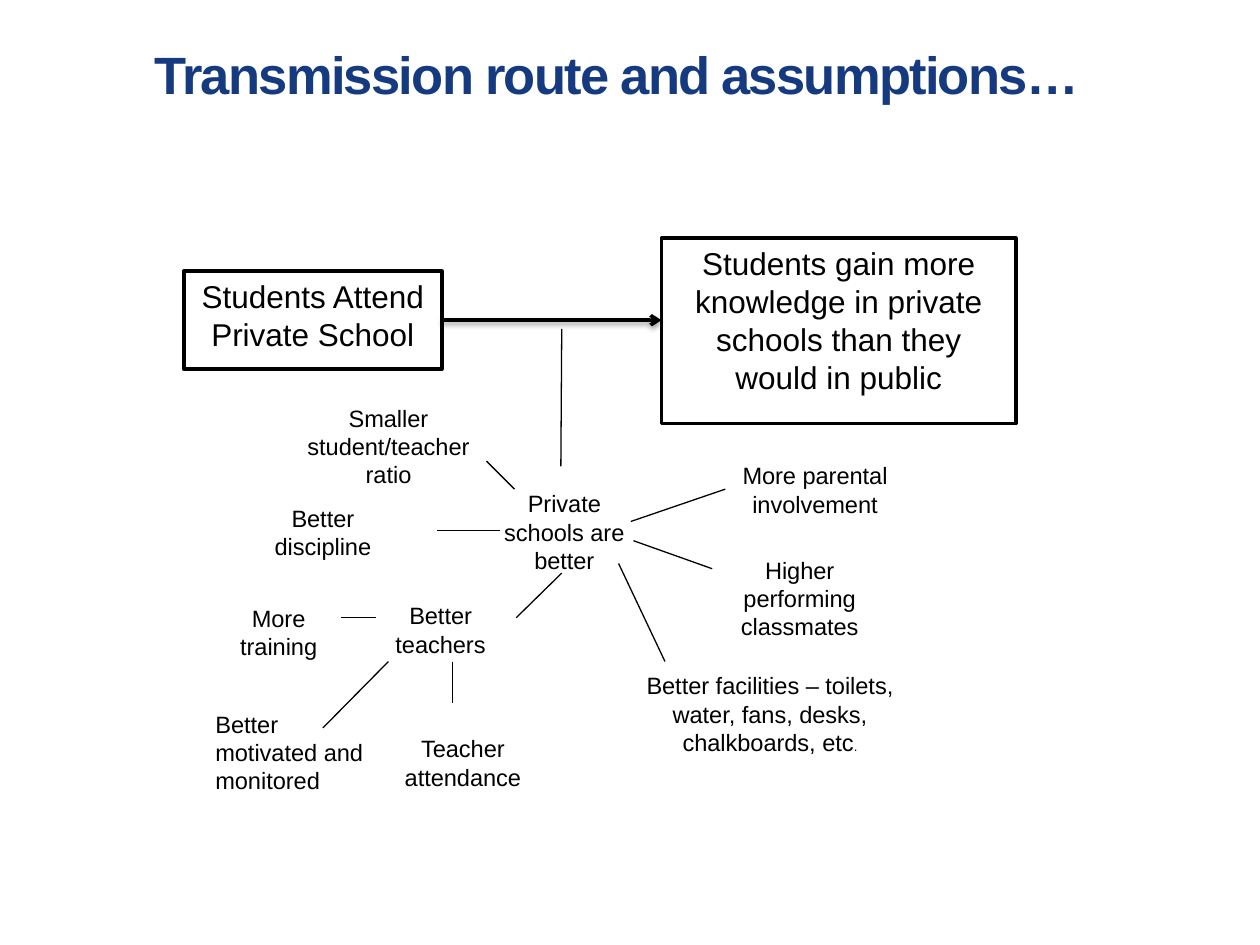
"""Build the slide on transmission routes and assumptions."""
from dataclasses import dataclass

from lxml.etree import SubElement
from pptx import Presentation
from pptx.dml.color import RGBColor
from pptx.enum.shapes import MSO_CONNECTOR, MSO_SHAPE
from pptx.enum.text import MSO_ANCHOR, MSO_AUTO_SIZE, PP_ALIGN
from pptx.oxml.ns import qn
from pptx.util import Pt


@dataclass(frozen=True)
class Theme:
    font: str = "Arial"
    title: RGBColor = RGBColor(0x15, 0x3A, 0x80)
    ink: RGBColor = RGBColor(0, 0, 0)
    paper: RGBColor = RGBColor(255, 255, 255)
    title_size: float = 30
    box_size: float = 18
    label_size: float = 13.5
    small_size: float = 7.5
    thick: float = 2
    thin: float = 0.75


T = Theme()
TITLE = "Transmission route and assumptions…"
CAUSE = ("Students Attend Private School", 105, 155, 147.5, 56)
EFFECT = ("Students gain more knowledge in private schools than they would in public",
          378, 136, 202.5, 106)
LINE_H, PAD_H = 15.75, 8.75
CENTER, LEFT = PP_ALIGN.CENTER, PP_ALIGN.LEFT
LABELS = [
    (["Private schools are better"], 278, 276, 89, 3, CENTER),
    (["Smaller student/teacher ratio"], 155, 227, 134, 3, CENTER),
    (["Better discipline"], 134, 284.5, 101, 2, CENTER),
    (["Better teachers"], 215, 340, 73.5, 2, CENTER),
    (["More training"], 116, 341.5, 86.5, 2, CENTER),
    (["Better motivated and monitored"], 116, 402, 106, 3, LEFT),
    (["Teacher attendance"], 216.5, 416, 96, 2, CENTER),
    (["More parental involvement"], 402, 260, 127.5, 2, CENTER),
    (["Higher performing classmates"], 405.5, 314, 103, 3, CENTER),
    (["Better facilities – toilets, water, fans, desks, chalkboards, etc", "."],
     361.5, 380, 157, 3, CENTER),
]
LINKS = [
    (321, 188, 320.5, 266.5),
    (278, 263.5, 294, 279.5),
    (250, 303, 286, 303),
    (321, 327.5, 295, 353),
    (414.5, 279.5, 360.5, 298),
    (362, 309, 407, 325),
    (353.5, 322, 380, 378),
    (215, 353, 195, 353),
    (258.5, 378, 258.5, 402),
    (222, 378, 184.5, 416),
]


def add_run(p, text, size, color=T.ink, bold=False):
    r = p.add_run()
    r.text = text
    r.font.name, r.font.size, r.font.bold = T.font, Pt(size), bold
    r.font.color.rgb = color
    return r


def add_box(s, text, x, y, w, h):
    sp = s.shapes.add_shape(MSO_SHAPE.RECTANGLE, Pt(x), Pt(y), Pt(w), Pt(h))
    sp.shadow.inherit = False
    sp.fill.solid()
    sp.fill.fore_color.rgb = T.paper
    sp.line.color.rgb = T.ink
    sp.line.width = Pt(T.thick)
    tf = sp.text_frame
    tf.word_wrap, tf.vertical_anchor = True, MSO_ANCHOR.TOP
    p = tf.paragraphs[0]
    p.alignment = CENTER
    add_run(p, text, T.box_size)


def add_label(s, texts, x, y, w, lines, align):
    sp = s.shapes.add_textbox(Pt(x), Pt(y), Pt(w), Pt(lines * LINE_H + PAD_H))
    tf = sp.text_frame
    tf.word_wrap, tf.auto_size = True, MSO_AUTO_SIZE.SHAPE_TO_FIT_TEXT
    p = tf.paragraphs[0]
    p.alignment = align
    for text, size in zip(texts, (T.label_size, T.small_size)):
        add_run(p, text, size)


def add_line(s, ends, width):
    cx = s.shapes.add_connector(MSO_CONNECTOR.STRAIGHT, *map(Pt, ends))
    cx.line.color.rgb = T.ink
    cx.line.width = Pt(width)
    return cx, SubElement(cx._element.spPr, qn("a:effectLst"))


def add_arrow(s, ends):
    cx, effects = add_line(s, ends, T.thick)
    SubElement(cx.line._get_or_add_ln(), qn("a:tailEnd"), type="arrow")
    shadow = SubElement(effects, qn("a:outerShdw"), blurRad=str(Pt(3.1)),
                        dist=str(Pt(1.6)), dir="5400000", rotWithShape="0")
    color = SubElement(shadow, qn("a:srgbClr"), val=str(T.ink))
    SubElement(color, qn("a:alpha"), val="38000")


def add_title(s):
    sp = s.shapes.title
    sp.left, sp.top, sp.width, sp.height = map(Pt, (83.5, 19.5, 590, 44.5))
    tf = sp.text_frame
    tf.word_wrap, tf.auto_size = True, MSO_AUTO_SIZE.NONE
    tf.vertical_anchor = MSO_ANCHOR.MIDDLE
    tf.margin_left = tf.margin_right = Pt(5)
    tf.margin_top = tf.margin_bottom = Pt(3)
    p = tf.paragraphs[0]
    p.alignment = LEFT
    r = add_run(p, TITLE, T.title_size, T.title, True)
    r._r.get_or_add_rPr().set("spc", "-100")


def main():
    prs = Presentation()
    prs.slide_width, prs.slide_height = Pt(720), Pt(540)
    s = prs.slides.add_slide(prs.slide_layouts[5])
    add_title(s)
    for box in (CAUSE, EFFECT):
        add_box(s, *box)
    _, x, y, w, h = CAUSE
    add_arrow(s, (x + w, y + h / 2, EFFECT[1], y + h / 2))
    for ends in LINKS:
        add_line(s, ends, T.thin)
    for label in LABELS:
        add_label(s, *label)
    prs.save("out.pptx")


if __name__ == "__main__":
    main()
